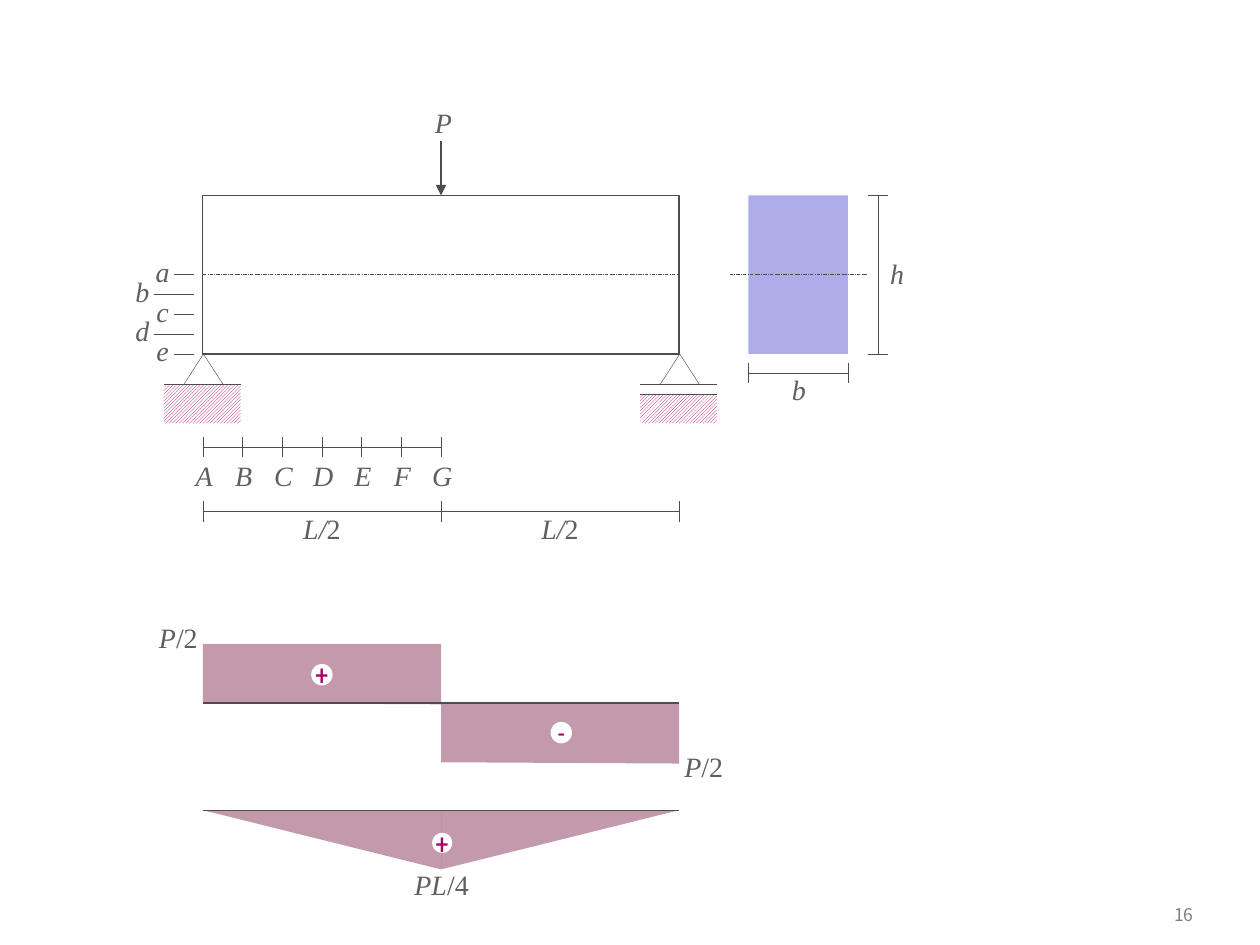
from lxml.etree import SubElement
from pptx import Presentation
from pptx.dml.color import RGBColor
from pptx.enum.dml import MSO_LINE, MSO_PATTERN
from pptx.enum.shapes import MSO_CONNECTOR, MSO_SHAPE
from pptx.enum.text import MSO_ANCHOR, MSO_AUTO_SIZE, PP_ALIGN
from pptx.oxml.ns import qn
from pptx.util import Inches, Pt

COLORS = {
    "line": "4D4D4D", "label": "5F5F5F", "accent": "A90165", "white": "FFFFFF",
    "section": "3333CC", "diagram": "6B0131", "number": "808080",
}
LEFT, MID, RIGHT = 1.61, 3.5, 5.39
TOP, AXIS, BOTTOM = 1.55, 2.18, 2.81
TICK = 0.08


def rgb(name):
    return RGBColor.from_string(COLORS[name])


def write(shape, runs, font="Times New Roman", size=16, color="label",
          align=PP_ALIGN.CENTER, anchor=MSO_ANCHOR.TOP, wrap=False, inset=0):
    """Fill a shape with (text, italic) runs in one paragraph."""
    frame = shape.text_frame
    frame.word_wrap, frame.vertical_anchor = wrap, anchor
    if inset is not None:
        frame.margin_left = frame.margin_right = Inches(inset)
        frame.margin_top = frame.margin_bottom = Inches(inset)
    paragraph = frame.paragraphs[0]
    paragraph.alignment = align
    for text, italic in runs:
        run = paragraph.add_run()
        run.text = text
        run.font.name, run.font.size, run.font.italic = font, Pt(size), italic
        run.font.color.rgb = rgb(color)


def label(shapes, box, italic, upright="", **fmt):
    holder = shapes.add_textbox(*map(Inches, box))
    parts = [(italic, True), (upright, False)]
    write(holder, [part for part in parts if part[0]], **fmt)
    return holder


def value_label(shapes, box, italic, upright):
    holder = label(shapes, box, italic, upright, wrap=True, inset=None)
    holder.text_frame.auto_size = MSO_AUTO_SIZE.SHAPE_TO_FIT_TEXT


def line(shapes, x1, y1, x2, y2, width=0.25, dash=None, arrow=False):
    stroke = shapes.add_connector(MSO_CONNECTOR.STRAIGHT, *map(Inches, (x1, y1, x2, y2)))
    stroke.line.color.rgb = rgb("line")
    stroke.line.width = Pt(width)
    if dash:
        stroke.line.dash_style = dash
    if arrow:
        SubElement(stroke.line._get_or_add_ln(), qn("a:tailEnd"), type="triangle")
    SubElement(stroke._element.spPr, qn("a:effectLst"))


def paint(shape, fill=None, alpha=None, outline=None):
    shape.shadow.inherit = False
    if fill:
        shape.fill.solid()
        shape.fill.fore_color.rgb = rgb(fill)
    else:
        shape.fill.background()
    if alpha:
        tint = shape.fill._xPr.find(qn("a:solidFill"))[0]
        SubElement(tint, qn("a:alpha"), val=str(alpha * 1000))
    if outline:
        shape.line.color.rgb = rgb("line")
        shape.line.width = Pt(outline)
    else:
        shape.line.fill.background()
    return shape


def preset(shapes, kind, box, **style):
    return paint(shapes.add_shape(kind, *map(Inches, box)), **style)


def ground(shapes, x, y, height):
    hatch = preset(shapes, MSO_SHAPE.RECTANGLE, (x, y, 0.61, height))
    hatch.fill.patterned()
    hatch.fill.pattern = MSO_PATTERN.LIGHT_UPWARD_DIAGONAL
    hatch.fill.fore_color.rgb = rgb("accent")
    hatch.fill.back_color.rgb = rgb("white")


def support(shapes, center, ground_y, height):
    """Pin or roller support; a roller stands off its ground."""
    x, base = center - 0.31, 3.05
    ground(shapes, x, ground_y, height)
    for y in sorted({base, ground_y}):
        line(shapes, x, y, x + 0.61, y)
    preset(shapes, MSO_SHAPE.ISOSCELES_TRIANGLE,
           (center - 0.15, BOTTOM, 0.31, 0.24), outline=0.25)


def dimension(shapes, marks, at, vertical=False):
    """Dimension line with a tick at every mark."""
    def draw(x1, y1, x2, y2):
        ends = (y1, x1, y2, x2) if vertical else (x1, y1, x2, y2)
        line(shapes, *ends)
    draw(marks[0], at, marks[-1], at)
    for mark in marks:
        draw(mark, at - TICK, mark, at + TICK)


def sign(shapes, x, y, text, size):
    badge = preset(shapes, MSO_SHAPE.OVAL, (x, y, size, size), fill="white")
    write(badge, [(text, False)], font="Roboto Condensed", color="accent",
          anchor=MSO_ANCHOR.MIDDLE, inset=None)


def outline_area(shapes, points):
    corners = [(Inches(x), Inches(y)) for x, y in points]
    builder = shapes.build_freeform(*corners[0])
    builder.add_line_segments(corners[1:], close=True)
    paint(builder.convert_to_shape(), fill="diagram", alpha=40)


def draw_beam(shapes):
    # Supports, beam and load
    support(shapes, RIGHT, 3.13, 0.23)
    support(shapes, LEFT, 3.05, 0.31)
    preset(shapes, MSO_SHAPE.RECTANGLE,
           (LEFT, TOP, RIGHT - LEFT, BOTTOM - TOP), outline=0.75)
    line(shapes, MID, 1.12, MID, TOP, width=1.5, arrow=True)
    label(shapes, (3.3, 0.84, 0.44, 0.27), "P")
    line(shapes, LEFT, AXIS, RIGHT, AXIS, dash=MSO_LINE.LONG_DASH_DOT)

    # Levels a to e, alternately set out to the left
    for i, level in enumerate("abcde"):
        y = AXIS + i * (BOTTOM - AXIS) / 4
        x = 1.22 - 0.16 * (i % 2)
        label(shapes, (x, y - 0.16, 0.14, 0.27), level)
        line(shapes, x + 0.16, y, 1.54, y)

    # Stations A to G
    stations = [LEFT + i * (MID - LEFT) / 6 for i in range(7)]
    dimension(shapes, stations, 3.55)
    for x, station in zip(stations, "ABCDEFG"):
        label(shapes, (x - 0.07, 3.64, 0.16, 0.27), station)

    # Half spans
    dimension(shapes, [LEFT, MID, RIGHT], 4.06)
    for x in (2.32, 4.21):
        label(shapes, (x, 4.06, 0.47, 0.27), "L/", "2")


def draw_section(shapes):
    left, right = 5.94, 6.73
    preset(shapes, MSO_SHAPE.RECTANGLE,
           (left, TOP, right - left, BOTTOM - TOP), fill="section", alpha=40)
    line(shapes, 5.79, AXIS, 6.89, AXIS, dash=MSO_LINE.LONG_DASH_DOT)
    dimension(shapes, [TOP, BOTTOM], 6.97, vertical=True)
    label(shapes, (7.03, 2.04, 0.18, 0.27), "h")
    dimension(shapes, [left, right], 2.96)
    label(shapes, (6.26, 2.96, 0.16, 0.27), "b")


def draw_moment(shapes):
    base = 6.43
    for x, apex in ((MID, 1), (LEFT, 0)):
        half = preset(shapes, MSO_SHAPE.ISOSCELES_TRIANGLE,
                      (x, base, MID - LEFT, 0.47), fill="diagram", alpha=40)
        half.adjustments[0] = apex
        half.rotation = 180
    line(shapes, LEFT, base, RIGHT, base, width=0.75)
    sign(shapes, 3.43, 6.61, "+", 0.16)
    value_label(shapes, (3.11, 6.84, 0.79, 0.37), "PL", "/4")


def draw_shear(shapes):
    base = 5.58
    for x, top in ((LEFT, 5.11), (MID, base)):
        end = x + MID - LEFT
        outline_area(shapes, [(x, top + 0.47), (x, top), (end, top), (end, top + 0.48)])
    line(shapes, LEFT, base, RIGHT, base, width=0.75)
    sign(shapes, 2.47, 5.27, "+", 0.17)
    sign(shapes, 4.37, 5.73, "-", 0.17)
    for x, y in ((1.14, 4.88), (5.31, 5.9)):
        value_label(shapes, (x, y, 0.55, 0.37), "P", "/2")


def main():
    deck = Presentation()
    deck.slide_width, deck.slide_height = Inches(10), Inches(7.5)
    slide = deck.slides.add_slide(deck.slide_layouts[6])

    # Page number
    page = slide.shapes.add_textbox(*map(Inches, (8.86, 7.09, 0.71, 0.33)))
    write(page, [("16", False)], font="Noto Sans CJK KR", size=10, color="number",
          align=PP_ALIGN.RIGHT, anchor=MSO_ANCHOR.MIDDLE, wrap=True, inset=None)

    # Loaded beam with its section, then the force diagrams
    for parts in ((draw_beam, draw_section), (draw_moment, draw_shear)):
        group = slide.shapes.add_group_shape()
        for draw in parts:
            draw(group.shapes)
    deck.save("out.pptx")


main()
